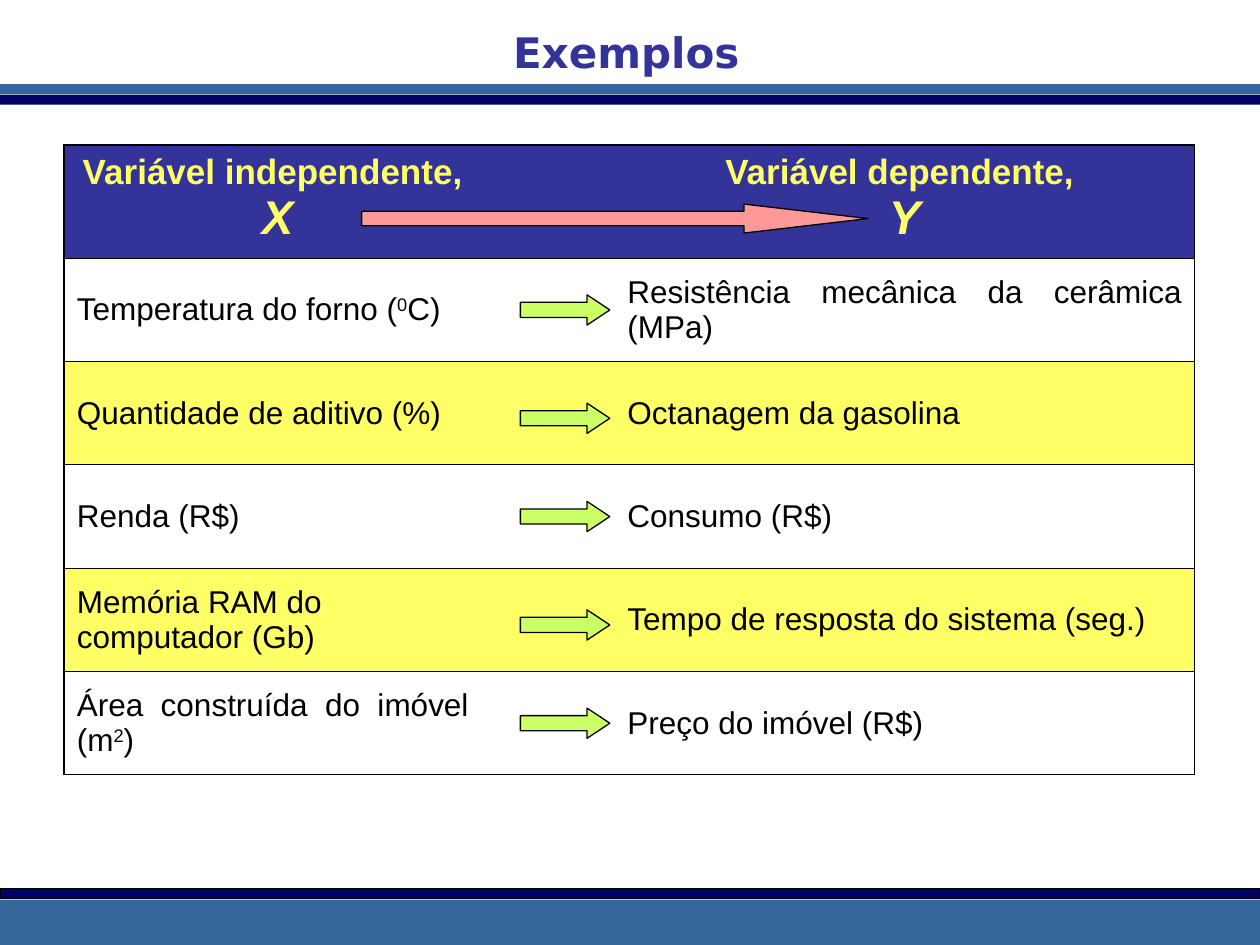
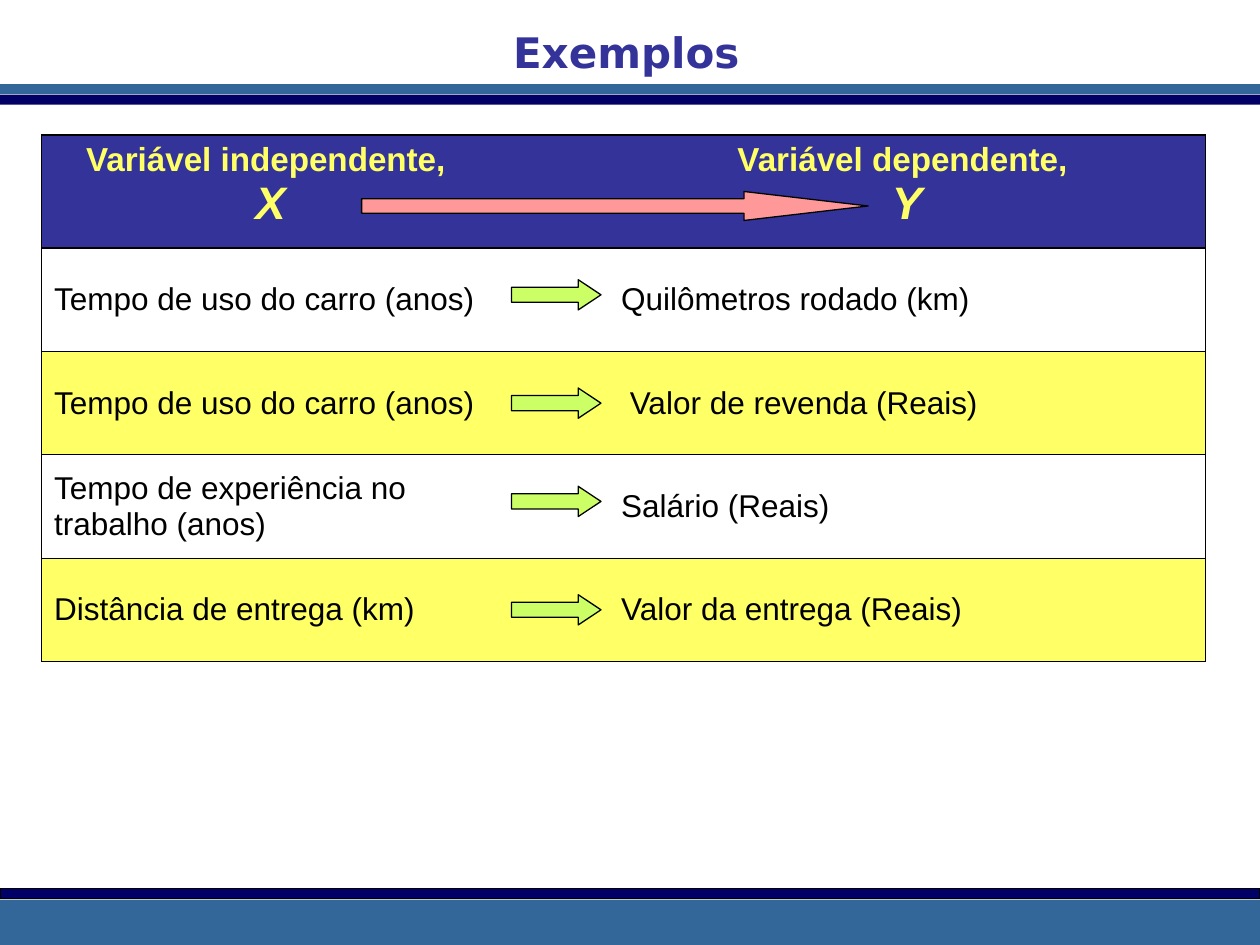
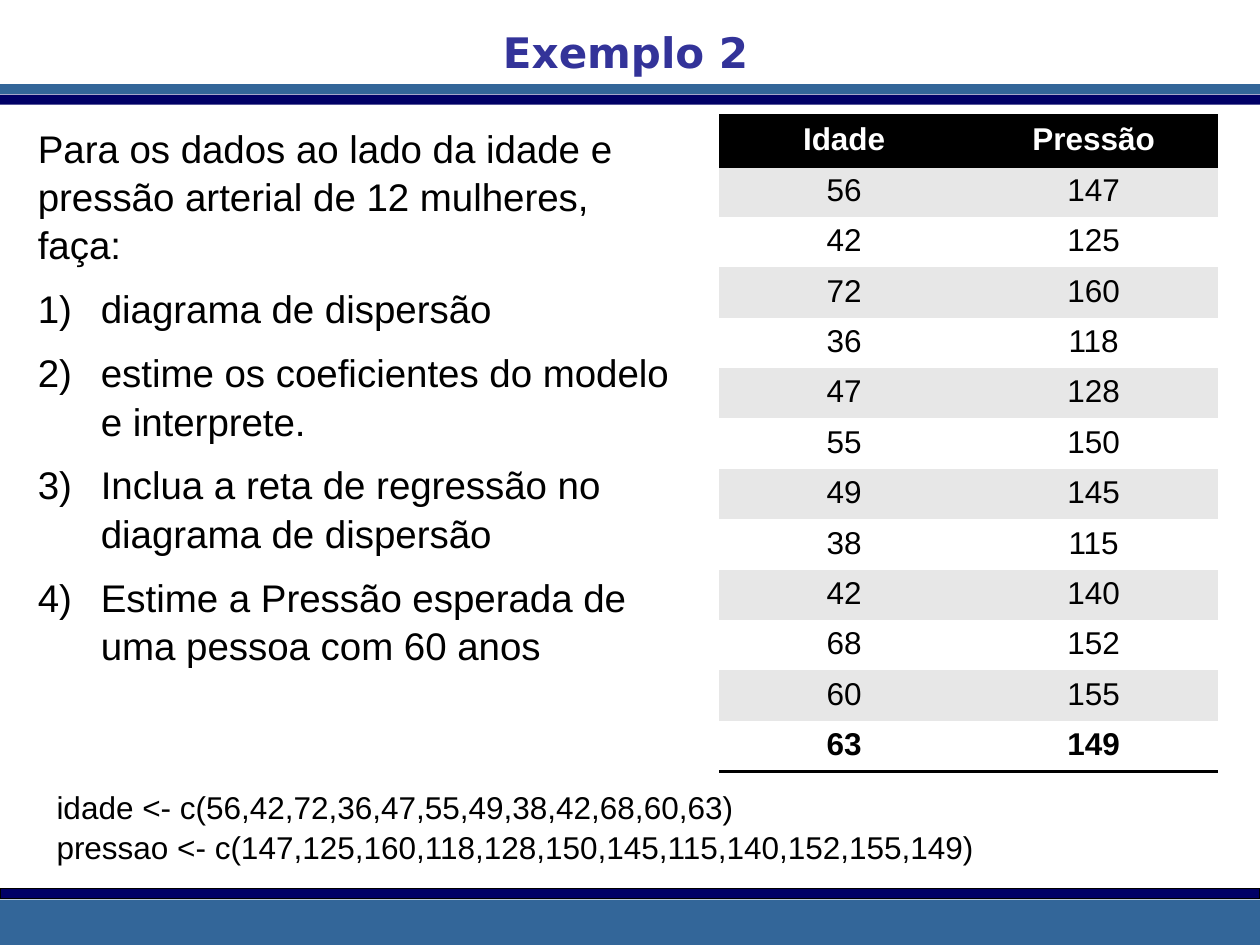
from dataclasses import dataclass

from lxml.etree import SubElement
from pptx import Presentation
from pptx.dml.color import RGBColor
from pptx.enum.shapes import MSO_SHAPE
from pptx.enum.text import MSO_ANCHOR, MSO_AUTO_SIZE, PP_ALIGN
from pptx.oxml import parse_xml
from pptx.oxml.ns import nsdecls, qn
from pptx.util import Inches, Pt


@dataclass(frozen=True)
class Theme:
    """Colours, fonts and type sizes of the deck."""
    steel: str = "336699"
    navy: str = "000066"
    indigo: str = "333399"
    yellow: str = "FFFF66"
    lime: str = "CCFF66"
    pink: str = "FF9999"
    grey: str = "E7E7E7"
    black: str = "000000"
    white: str = "FFFFFF"
    sans: str = "Arial"
    head: str = "DejaVu Sans"
    title: int = 24
    body: int = 22
    cell: int = 18


T = Theme()
PLAIN = "{2D5ABB26-0587-4C30-8999-92F81FD0307C}"
SUP = {"sup": True}


def rgb(code):
    """Turn a hex code into a colour."""
    return RGBColor.from_string(code)


def inches(box):
    """Turn plain numbers into lengths."""
    return [Inches(n) for n in box]


def write(frame, paras, size=T.cell, color=T.black, font=T.sans, bold=False,
          align=PP_ALIGN.LEFT, space=None, after=None):
    """Fill a text frame; a paragraph is a string or a list of runs."""
    for num, para in enumerate(paras):
        line = frame.paragraphs[0] if num == 0 else frame.add_paragraph()
        line.alignment = align
        if space:
            line.line_spacing = space
        if after is not None:
            line.space_before, line.space_after = Pt(0), Pt(after)
        for item in [para] if isinstance(para, str) else para:
            words, style = (item, {}) if isinstance(item, str) else item
            run = line.add_run()
            run.text = words
            run.font.name = font
            run.font.size = Pt(style.get("size", size))
            run.font.color.rgb = rgb(color)
            run.font.bold = bold
            run.font.italic = style.get("italic", False)
            if style.get("sup"):
                run.font._element.set("baseline", "30000")


def draw(slide, kind, box, fill, line=None):
    """Add a filled preset shape without shadow."""
    shape = slide.shapes.add_shape(kind, *inches(box))
    shape.shadow.inherit = False
    shape.fill.solid()
    shape.fill.fore_color.rgb = rgb(fill)
    if line:
        shape.line.color.rgb = rgb(line)
        shape.line.width = Pt(0.75)
    else:
        shape.line.fill.background()
    return shape


def arrow(slide, box, fill, tip):
    """Add a right arrow whose tip is given relative to its height."""
    shape = draw(slide, MSO_SHAPE.RIGHT_ARROW, box, fill, T.black)
    shape.adjustments[0] = 0.5
    shape.adjustments[1] = tip


def bands(deck, slide):
    """Put the top and bottom bands on the slide master."""
    parts = [((0, 0.67, 10, 0.08), T.steel, T.steel),
             ((0, 0.75, 10, 0.17), T.white, T.white),
             ((0, 0.75, 10, 0.08), T.navy, None),
             ((0, 7.14, 10, 0.36), T.steel, None),
             ((0, 7.05, 10, 0.08), T.navy, T.black)]
    tree = deck.slide_master.shapes.element
    for num, (box, fill, line) in enumerate(parts):
        node = draw(slide, MSO_SHAPE.RECTANGLE, box, fill, line).element
        node.xpath(".//p:cNvPr")[0].set("id", str(20 + num))
        tree.insert(2 + num, node)


def head(slide, words, box):
    """Set the slide title."""
    shape = slide.shapes.title
    shape.left, shape.top, shape.width, shape.height = inches(box)
    frame = shape.text_frame
    frame.word_wrap = False
    frame.auto_size = MSO_AUTO_SIZE.NONE
    frame.vertical_anchor = MSO_ANCHOR.TOP
    write(frame, [words], size=T.title, color=T.indigo, font=T.head,
          bold=True, align=PP_ALIGN.CENTER)


def paint(cell, fill=None, **edges):
    """Set the fill and the borders (L, R, T, B in points) of a cell."""
    if fill:
        cell.fill.solid()
        cell.fill.fore_color.rgb = rgb(fill)
    else:
        cell.fill.background()
    props = cell._tc.get_or_add_tcPr()
    sides = [side for side in "LRTB" if side in edges]
    for num, side in enumerate(sides):
        props.insert(num, parse_xml(
            f'<a:ln{side} {nsdecls("a")} w="{Pt(edges[side])}"><a:solidFill>'
            f'<a:srgbClr val="{T.black}"/></a:solidFill></a:ln{side}>'))


def grid(slide, left, top, cols, rows):
    """Add an unstyled table with the given column widths and row heights."""
    box = inches((left, top, sum(cols), sum(rows)))
    frame = slide.shapes.add_table(len(rows), len(cols), *box)
    table = frame.table
    table.first_row = table.horz_banding = False
    table._tbl.tblPr.find(qn("a:tableStyleId")).text = PLAIN
    for col, wide in zip(table.columns, cols):
        col.width = Inches(wide)
    for row, high in zip(table.rows, rows):
        row.height = Inches(high)
    return table


def pairs(slide, left, top, cols, rows, ragged, size, pad, tall, lift, shift):
    """Place the table of variable pairs with its arrows."""
    first, step = 0.9, 0.82
    table = grid(slide, left, top, cols, [first] + [step] * len(rows))
    big = {"size": size + 7, "italic": True}
    tops = [["Variável independente,", [" ", ("X", big)]], None,
            ["Variável dependente, ", [("Y", big)]]]
    for num, row in enumerate([tops] + [[[a], None, [b]] for a, b in rows]):
        for col, paras in enumerate(row):
            cell = table.cell(num, col)
            edges = {"T": 1 if num < 2 else 0.75,
                     "B": 1 if num in (0, len(rows)) else 0.75}
            if col == 0:
                edges["L"] = 1
            if col == 2:
                edges["R"] = 1
            fill = T.indigo if num == 0 else (None, T.yellow)[1 - num % 2]
            paint(cell, fill, **edges)
            cell.margin_top = cell.margin_bottom = Inches(pad)
            if not paras:
                continue
            if num == 0:
                write(cell.text_frame, paras, size=size, color=T.yellow,
                      bold=True, align=PP_ALIGN.CENTER)
                continue
            cell.vertical_anchor = MSO_ANCHOR.MIDDLE
            loose = num == ragged and col == 0
            write(cell.text_frame, paras,
                  align=PP_ALIGN.LEFT if loose else PP_ALIGN.JUSTIFY)
    arrow(slide, (2.87, top + tall, 4.02, 0.23), T.pink, 4.285)
    for num in range(len(rows)):
        y = top + first + step * num + lift + 0.04 * (num % 2)
        arrow(slide, (left + shift, y, 0.71, 0.24), T.lime, 0.752)


def tasks(slide, intro, items, box):
    """Place the introduction and the numbered tasks."""
    shape = slide.placeholders[1]
    shape.left, shape.top, shape.width, shape.height = inches(box)
    frame = shape.text_frame
    frame.auto_size = MSO_AUTO_SIZE.NONE
    write(frame, [intro] + items, size=T.body, space=1.05, after=8.8)
    for num, line in enumerate(frame.paragraphs):
        props = line._p.get_or_add_pPr()
        dent = Inches(0.5) if num else 0
        props.set("marL", str(dent))
        props.set("indent", str(-dent))
        if num:
            SubElement(props, qn("a:buFont"), typeface="+mj-lt")
            SubElement(props, qn("a:buAutoNum"), type="arabicParenR")
        else:
            SubElement(props, qn("a:buNone"))


def sample(slide, names, data, left, top, wide, high):
    """Place the striped table of sample values."""
    rows = [names] + list(zip(*data))
    table = grid(slide, left, top, [wide / 2] * 2,
                 [high / len(rows)] * len(rows))
    last = len(rows) - 1
    for num, row in enumerate(rows):
        for col, value in enumerate(row):
            cell = table.cell(num, col)
            fill = T.grey if num % 2 else T.white
            edges = {"B": 2} if num == last else {}
            if num == 0:
                fill, edges = T.black, {"T": 2, "B": 2}
            paint(cell, fill, **edges)
            write(cell.text_frame, [str(value)], bold=num in (0, last),
                  color=T.black if num else T.white, align=PP_ALIGN.CENTER)


def code(slide, names, data, box):
    """Place the vectors as lines of code."""
    frame = slide.shapes.add_textbox(*inches(box)).text_frame
    frame.word_wrap = True
    write(frame, [f"{name} <- c({','.join(map(str, vals))})"
                  for name, vals in zip(names, data)], space=1.05)


def main():
    """Build the deck."""
    deck = Presentation()
    deck.slide_width, deck.slide_height = Inches(10), Inches(7.5)
    bare, full = deck.slide_layouts[5], deck.slide_layouts[1]

    one = deck.slides.add_slide(bare)
    bands(deck, one)
    head(one, "Exemplos", (3.96, 0.16, 2.02, 0.5))
    pairs(one, 0.51, 1.15, (3.31, 1.06, 4.6), [
        (["Temperatura do forno (", ("0", SUP), "C)"],
         "Resistência mecânica da cerâmica (MPa)"),
        ("Quantidade de aditivo (%)", "Octanagem da gasolina"),
        ("Renda (R$)", "Consumo (R$)"),
        ("Memória RAM do computador (Gb)",
         "Tempo de resposta do sistema (seg.)"),
        (["Área construída do imóvel (m", ("2", SUP), ")"],
         "Preço do imóvel (R$)"),
    ], ragged=4, size=20, pad=0.06, tall=0.47, lift=0.29, shift=3.62)

    two = deck.slides.add_slide(bare)
    head(two, "Exemplos", (3.96, 0.16, 2.02, 0.5))
    pairs(two, 0.33, 1.07, (3.56, 0.94, 4.74), [
        ("Tempo de uso do carro (anos)", "Quilômetros rodado (km)"),
        ("Tempo de uso do carro (anos)", " Valor de revenda (Reais)"),
        ("Tempo de experiência no trabalho (anos)", "Salário (Reais)"),
        ("Distância de entrega (km)", "Valor da entrega (Reais)"),
    ], ragged=3, size=19, pad=0.05, tall=0.45, lift=0.25, shift=3.73)

    data = [(56, 42, 72, 36, 47, 55, 49, 38, 42, 68, 60, 63),
            (147, 125, 160, 118, 128, 150, 145, 115, 140, 152, 155, 149)]
    three = deck.slides.add_slide(full)
    head(three, "Exemplo 2", (3.88, 0.16, 2.17, 0.5))
    tasks(three, "Para os dados ao lado da idade e pressão arterial "
          "de 12 mulheres, faça:",
          ["diagrama de dispersão ",
           "estime os coeficientes do modelo e interprete.",
           "Inclua a reta de regressão no diagrama de dispersão",
           "Estime a Pressão esperada de uma pessoa com 60 anos"],
          (0.2, 0.92, 5.22, 4.41))
    sample(three, ("Idade", "Pressão"), data, 5.71, 0.92, 3.96, 5.2)
    code(three, ("idade", "pressao"), data, (0.35, 6.19, 8.82, 0.71))
    deck.save("out.pptx")


main()
